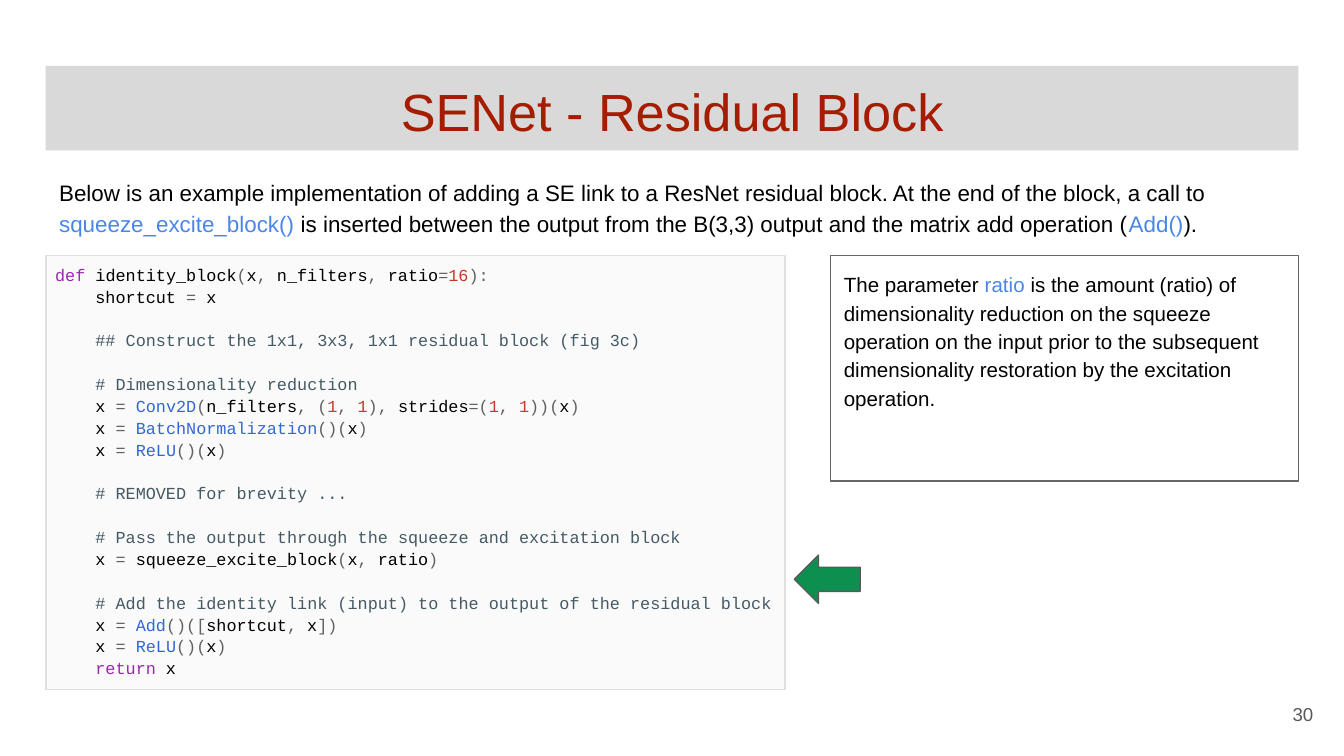
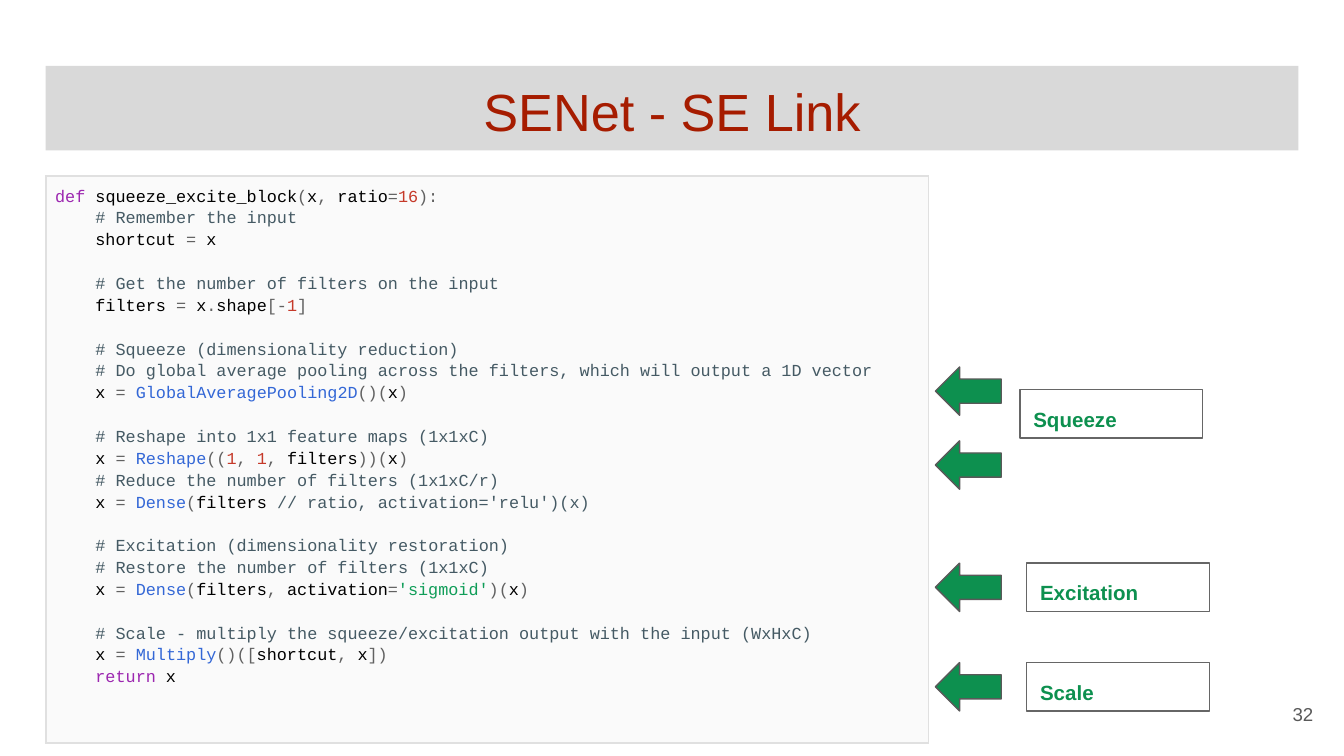
import itertools
from dataclasses import dataclass

import pptx
import pptx.dml.color
import pptx.enum.shapes
import pptx.enum.text
import pptx.oxml
import pptx.oxml.ns
import pptx.util

Inches = pptx.util.Inches
Pt = pptx.util.Pt
rgb = pptx.dml.color.RGBColor.from_string
Shapes = pptx.enum.shapes.MSO_SHAPE
Anchor = pptx.enum.text.MSO_ANCHOR
Align = pptx.enum.text.PP_ALIGN


@dataclass(frozen=True)
class Theme:
    font: str = "Arial"
    code_font: str = "Courier New"
    title_size: int = 28
    intro_size: int = 12
    note_size: int = 11
    number_size: int = 10
    code_size: int = 9
    code_pitch: float = 11.72  # height of one code line, in points
    band: str = "D9D9D9"
    title: str = "A61C00"
    text: str = "000000"
    accent: str = "4A86E8"
    green: str = "0D904F"
    box_line: str = "666666"
    dark_grey: str = "595959"
    code_fill: str = "FAFAFA"
    code_line: str = "E0E0E0"
    keyword: str = "9C27B0"
    call: str = "3367D6"
    number: str = "C53929"
    string: str = "0F9D58"
    comment: str = "455A64"
    symbol: str = "616161"


theme = Theme()


def write(frame, text, size, color=theme.text, font=theme.font, bold=False,
          align=Align.LEFT, spacing=1.0, anchor=Anchor.TOP, inset=0.1,
          indent=0, before=0):
    """Add a paragraph; text is a string or a list of (string, colour) pairs."""
    if inset is not None:
        frame.margin_left = frame.margin_right = Inches(inset)
        frame.margin_top = frame.margin_bottom = Inches(inset)
        frame.word_wrap = True
        frame.auto_size = pptx.enum.text.MSO_AUTO_SIZE.NONE
        frame.vertical_anchor = anchor
    para = frame.paragraphs[-1]
    if para.runs:
        para = frame.add_paragraph()
    para.alignment = align
    para.line_spacing = spacing
    para.space_before = Pt(before)
    para.space_after = Pt(0)
    properties = para._p.get_or_add_pPr()
    properties.set("marL", str(Inches(indent)))
    properties.set("indent", "0")
    properties.append(pptx.oxml.parse_xml(
        f'<a:buNone {pptx.oxml.ns.nsdecls("a")}/>'))
    for words, span_color in [(text, color)] if isinstance(text, str) else text:
        span = para.add_run()
        span.text = words
        span.font.name = font
        span.font.size = Pt(size)
        span.font.bold = bold
        span.font.color.rgb = rgb(span_color)


def highlight(line):
    """Split a line of code into (string, colour) pairs."""
    starts = [line.find(mark) for mark in ("#", "//") if mark in line]
    cut = min(starts, default=len(line))
    spans = []
    for is_word, letters in itertools.groupby(
            line[:cut], lambda letter: letter.isalnum() or letter in "_'"):
        token = "".join(letters)
        if not is_word:
            color = theme.symbol
        elif token in ("def", "return"):
            color = theme.keyword
        elif token.isdigit():
            color = theme.number
        elif token.startswith("'"):
            color = theme.string
        else:
            color = theme.call if token[0].isupper() else theme.text
        spans.append((token, color))
    if line[cut:]:
        spans.append((line[cut:], theme.comment))
    return spans


residual_code = """\
def identity_block(x, n_filters, ratio=16):
    shortcut = x

    ## Construct the 1x1, 3x3, 1x1 residual block (fig 3c)

    # Dimensionality reduction
    x = Conv2D(n_filters, (1, 1), strides=(1, 1))(x)
    x = BatchNormalization()(x)
    x = ReLU()(x)

    # REMOVED for brevity ...

    # Pass the output through the squeeze and excitation block
    x = squeeze_excite_block(x, ratio)

    # Add the identity link (input) to the output of the residual block
    x = Add()([shortcut, x])
    x = ReLU()(x)
    return x"""

link_code = """\
def squeeze_excite_block(x, ratio=16):
    # Remember the input
    shortcut = x

    # Get the number of filters on the input
    filters = x.shape[-1]

    # Squeeze (dimensionality reduction)
    # Do global average pooling across the filters, which will output a 1D vector
    x = GlobalAveragePooling2D()(x)

    # Reshape into 1x1 feature maps (1x1xC)
    x = Reshape((1, 1, filters))(x)
    # Reduce the number of filters (1x1xC/r)
    x = Dense(filters // ratio, activation='relu')(x)

    # Excitation (dimensionality restoration)
    # Restore the number of filters (1x1xC)
    x = Dense(filters, activation='sigmoid')(x)

    # Scale - multiply the squeeze/excitation output with the input (WxHxC)
    x = Multiply()([shortcut, x])
    return x"""

intro = [
    ("Below is an example implementation of adding a SE link to a ResNet residual "
     "block. At the end of the block, a call to ", theme.text),
    ("squeeze_excite_block() ", theme.accent),
    ("is inserted between the output from the B(3,3) output and the matrix add "
     "operation (", theme.text),
    ("Add()", theme.accent),
    (").", theme.text),
]
ratio_note = [
    ("The parameter ", theme.text),
    ("ratio", theme.accent),
    (" is the amount (ratio) of dimensionality reduction on the squeeze operation on "
     "the input prior to the subsequent dimensionality restoration by the excitation "
     "operation.", theme.text),
]

# Each note is (text, left, top, width, height); each arrow is (left, top)
pages = [
    dict(title="SENet - Residual Block", number="30", intro=intro,
         code=residual_code, code_at=(1.9, 5.5, 3.23),
         notes=[(ratio_note, 6.18, 1.9, 3.48, 1.68)],
         arrows=[(5.91, 4.13)]),
    dict(title="SENet - SE Link", number="32", intro=None,
         code=link_code, code_at=(1.31, 6.57, 4.22),
         notes=[("Squeeze", 7.59, 2.9, 1.36, 0.36),
                ("Excitation", 7.64, 4.19, 1.36, 0.36),
                ("Scale", 7.64, 4.93, 1.36, 0.36)],
         arrows=[(6.96, top) for top in (2.73, 3.28, 4.19, 4.93)]),
]

# Widescreen pages, 16:9
deck = pptx.Presentation()
deck.slide_width = Inches(10)
deck.slide_height = deck.slide_width * 9 // 16
margin, content_width = Inches(0.34), Inches(9.32)

for content in pages:
    # Layout 1 has a title and a body, layout 5 a title only
    page = deck.slides.add_slide(deck.slide_layouts[1 if content["intro"] else 5])

    # Title band
    title = page.shapes.title
    title.left, title.top = margin, Inches(0.49)
    title.width, title.height = content_width, Inches(0.63)
    title.fill.solid()
    title.fill.fore_color.rgb = rgb(theme.band)
    write(title.text_frame, content["title"], theme.title_size, theme.title,
          align=Align.CENTER)

    # Page number
    box = page.shapes.add_textbox(Inches(9.27), Inches(5.1), Inches(0.6), Inches(0.43))
    write(box.text_frame, content["number"], theme.number_size, theme.dark_grey,
          align=Align.RIGHT, anchor=Anchor.MIDDLE)

    # Introduction
    if content["intro"]:
        body = page.placeholders[1]
        body.left, body.top = margin, Inches(1.2)
        body.width, body.height = content_width, Inches(0.7)
        write(body.text_frame, content["intro"], theme.intro_size, spacing=1.15)

    # Code listing in a one-cell table
    top, width, height = map(Inches, content["code_at"])
    table = page.shapes.add_table(1, 1, margin, top, width, height).table
    table.first_row = table.horz_banding = False
    cell = table.cell(0, 0)
    cell.margin_left = cell.margin_right = Inches(0.07)
    cell.margin_top = cell.margin_bottom = Inches(0.07)
    for side in ("lnL", "lnR", "lnT", "lnB"):
        cell._tc.get_or_add_tcPr().append(pptx.oxml.parse_xml(
            f'<a:{side} {pptx.oxml.ns.nsdecls("a")} w="{Pt(1)}"><a:solidFill>'
            f'<a:srgbClr val="{theme.code_line}"/></a:solidFill></a:{side}>'))
    cell.fill.solid()
    cell.fill.fore_color.rgb = rgb(theme.code_fill)
    gap = 0
    for line in content["code"].splitlines():
        if not line:
            gap = theme.code_pitch
            continue
        write(cell.text_frame, highlight(line.strip()), theme.code_size,
              font=theme.code_font, spacing=1.15, inset=None,
              indent=0.3 if line.startswith(" ") else 0, before=gap)
        gap = 0

    # Arrows pointing at the code
    for left, top in content["arrows"]:
        arrow = page.shapes.add_shape(Shapes.RIGHT_ARROW, Inches(left), Inches(top),
                                      Inches(0.49), Inches(0.36))
        arrow.rotation = 180
        arrow.shadow.inherit = False
        arrow.fill.solid()
        arrow.fill.fore_color.rgb = rgb(theme.green)
        arrow.line.color.rgb = rgb(theme.dark_grey)
        arrow.line.width = Pt(0.75)

    # Outlined notes; short labels are bold green
    for text, *place in content["notes"]:
        note = page.shapes.add_shape(Shapes.RECTANGLE, *map(Inches, place))
        note.shadow.inherit = False
        note.fill.background()
        note.line.color.rgb = rgb(theme.box_line)
        note.line.width = Pt(0.75)
        write(note.text_frame, text, theme.note_size, theme.green,
              bold=isinstance(text, str), spacing=1.15)

deck.save("out.pptx")
